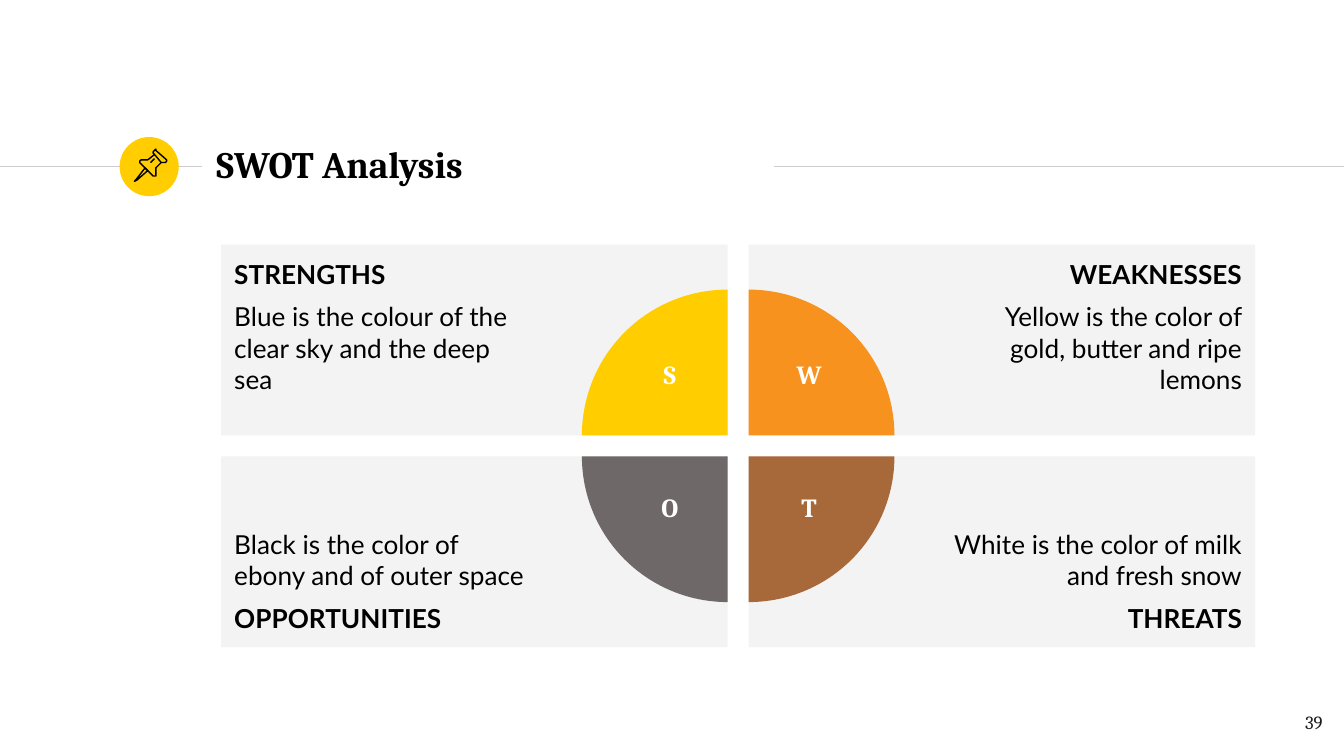
"""Build a SWOT analysis slide with four cards around a split circle."""
from dataclasses import dataclass

from lxml import etree
from pptx import Presentation
from pptx.dml.color import RGBColor
from pptx.enum.shapes import MSO_CONNECTOR, MSO_SHAPE
from pptx.enum.text import MSO_ANCHOR, MSO_AUTO_SIZE, PP_ALIGN
from pptx.oxml.ns import qn
from pptx.util import Inches, Pt

STRAIGHT = MSO_CONNECTOR.STRAIGHT
RECTANGLE, ELLIPSE, PIE = MSO_SHAPE.RECTANGLE, MSO_SHAPE.OVAL, MSO_SHAPE.PIE
LEFT, CENTER, RIGHT = PP_ALIGN.LEFT, PP_ALIGN.CENTER, PP_ALIGN.RIGHT
TOP, MIDDLE, BOTTOM = MSO_ANCHOR.TOP, MSO_ANCHOR.MIDDLE, MSO_ANCHOR.BOTTOM
TITLE_ONLY = 5
CELL = Inches(0.1)


@dataclass(frozen=True)
class Theme:
    """Fonts, type sizes and colours of the slide."""
    serif: str = "Cambria"
    sans: str = "Lato"
    title_size: int = 20
    body_size: int = 14
    number_size: int = 10
    ink: str = "000000"
    number: str = "1D1D1B"
    white: str = "FFFFFF"
    rule: str = "CCCCCC"
    card: str = "F3F3F3"
    yellow: str = "FFCD00"
    orange: str = "F6921D"
    brown: str = "A7693A"
    grey: str = "6F6868"


def cells(*counts):
    """Turn counts of grid cells into lengths."""
    return [round(count * CELL) for count in counts]


class Page:
    """Draws on one slide, measured in a grid of 100 columns."""

    def __init__(self, deck, theme):
        """Add a title-only slide to the deck."""
        self.theme = theme
        self.slide = deck.slides.add_slide(deck.slide_layouts[TITLE_ONLY])
        self.shapes = self.slide.shapes

    def frame(self, box, anchor, insets):
        """Set wrapping, anchor and insets of a box's text."""
        frame = box.text_frame
        frame.word_wrap = True
        frame.auto_size = MSO_AUTO_SIZE.NONE
        frame.vertical_anchor = anchor
        (frame.margin_left, frame.margin_top,
         frame.margin_right, frame.margin_bottom) = cells(*insets)
        return frame

    def add_span(self, para, text, font, size, color, bold=False, align=LEFT):
        """Add one formatted run to a paragraph."""
        para.alignment = align
        span = para.add_run()
        span.text = text
        span.font.name, span.font.size, span.font.bold = font, Pt(size), bold
        span.font.color.rgb = RGBColor.from_string(color)

    def title(self, text, place):
        """Place and fill the title placeholder."""
        box = self.shapes.title
        box.left, box.top, box.width, box.height = cells(*place)
        para = self.frame(box, MIDDLE, (1, 1, 1, 1)).paragraphs[0]
        self.add_span(para, text, self.theme.serif, self.theme.title_size,
                      self.theme.ink, bold=True)

    def label(self, text, place, size, color, align, bold=False, inset=1):
        """Add a one-line serif text box."""
        box = self.shapes.add_textbox(*cells(*place))
        para = self.frame(box, TOP, (1, inset, 1, inset)).paragraphs[0]
        self.add_span(para, text, self.theme.serif, size, color, bold, align)

    def rule(self, start, end, row):
        """Add a thin horizontal line."""
        line = self.shapes.add_connector(STRAIGHT, *cells(start, row, end, row))
        line.line.color.rgb = RGBColor.from_string(self.theme.rule)
        line.line.width = Pt(0.75)
        etree.SubElement(line._element.spPr, qn("a:effectLst"))

    def shape(self, kind, place, color):
        """Add a filled preset shape without outline."""
        shape = self.shapes.add_shape(kind, *cells(*place))
        shape.shadow.inherit = False
        shape.fill.solid()
        shape.fill.fore_color.rgb = RGBColor.from_string(color)
        shape.line.fill.background()
        return shape

    def card(self, place, heading, body, on_right, on_bottom):
        """Add a card whose heading sits at its outer edge."""
        box = self.shape(RECTANGLE, place, self.theme.card)
        insets = (15, 1, 1, 1) if on_right else (1, 1, 15, 1)
        frame = self.frame(box, BOTTOM if on_bottom else TOP, insets)
        texts = [(heading, True), (body, False)]
        if on_bottom:
            texts.reverse()
        first, last = frame.paragraphs[0], frame.add_paragraph()
        last.space_before = last.space_after = Pt(6)
        for para, (text, bold) in zip((first, last), texts):
            self.add_span(para, text, self.theme.sans, self.theme.body_size,
                          self.theme.ink, bold, RIGHT if on_right else LEFT)

    def quarter(self, center, diameter, turn, color):
        """Add a quarter circle turned about its center."""
        left, top = (value - diameter / 2 for value in center)
        pie = self.shape(PIE, (left, top, diameter, diameter), color)
        pie.adjustments[0], pie.adjustments[1] = 108, 162
        pie.rotation = turn

    def outline(self, points, closed):
        """Add an unfilled outline through points in tenths of a cell."""
        builder = self.shapes.build_freeform(*points[0], scale=CELL / 10)
        builder.add_line_segments(points[1:], close=closed)
        shape = builder.convert_to_shape()
        shape.shadow.inherit = False
        shape.fill.background()
        shape.line.color.rgb = RGBColor.from_string(self.theme.ink)
        shape.line.width = Pt(0.75)


PIN = [
    ([(108, 125), (101, 134), (100, 135), (102, 134), (110, 127)], True),
    ([(114.6, 115.4), (120.4, 121.2), (122, 121.2), (123, 120.6),
      (124, 119.8), (124.2, 119.2), (123.8, 118.8), (116.4, 111.6),
      (115.8, 111.4), (115.2, 111.6), (114.4, 112.6), (114.2, 114)], True),
    ([(114.6, 115.4), (110, 119.4), (108, 118.8), (106, 118.8),
      (104.6, 119.4), (103.9, 120), (103.9, 120.6), (114.4, 131.2),
      (115, 131.4), (115.6, 130.8), (116.2, 129), (116.2, 127),
      (115.8, 125.4), (120.4, 121.2)], False),
    ([(112, 121), (115, 118)], False),
]


def main():
    """Build and save the slide."""
    theme = Theme()
    deck = Presentation()
    deck.slide_width, deck.slide_height = cells(100, 56.25)
    page = Page(deck, theme)

    page.rule(0, 15, 12.4)
    page.shape(ELLIPSE, (8.9, 10.2, 4.4, 4.4), theme.yellow)
    page.rule(57.6, 100, 12.4)
    page.title("SWOT Analysis", (15.1, 9.8, 42.4, 4.8))
    page.label("39", (93.4, 51.9, 6, 4.3), theme.number_size, theme.number, RIGHT)

    quadrants = [
        ("STRENGTHS", "Blue is the colour of the clear sky and the deep sea",
         theme.yellow, 0, 0, 0),
        ("WEAKNESSES", "Yellow is the color of gold, butter and ripe lemons",
         theme.orange, 1, 0, 90),
        ("OPPORTUNITIES", "Black is the color of ebony and of outer space",
         theme.grey, 0, 1, 270),
        ("THREATS", "White is the color of milk and fresh snow",
         theme.brown, 1, 1, 180),
    ]
    width, height, gap = 37.7, 14.2, 1.55
    for heading, body, color, column, row, turn in quadrants:
        left = 16.45 + column * (width + gap)
        top = 18.2 + row * (height + gap)
        page.card((left, top, width, height), heading, body, column, row)
        corner_x = left + (1 - column) * width
        corner_y = top + (1 - row) * height
        page.quarter((corner_x, corner_y), 21.7, turn, color)
        letter_x = corner_x + (4.5 if column else -4.3)
        letter_y = corner_y + (4.1 if row else -4.2)
        page.label(heading[0], (letter_x - 2.8, letter_y - 2, 5.6, 4),
                   theme.body_size, theme.white, CENTER, bold=True, inset=0.5)

    for points, closed in PIN:
        page.outline(points, closed)
    deck.save("out.pptx")


if __name__ == "__main__":
    main()
